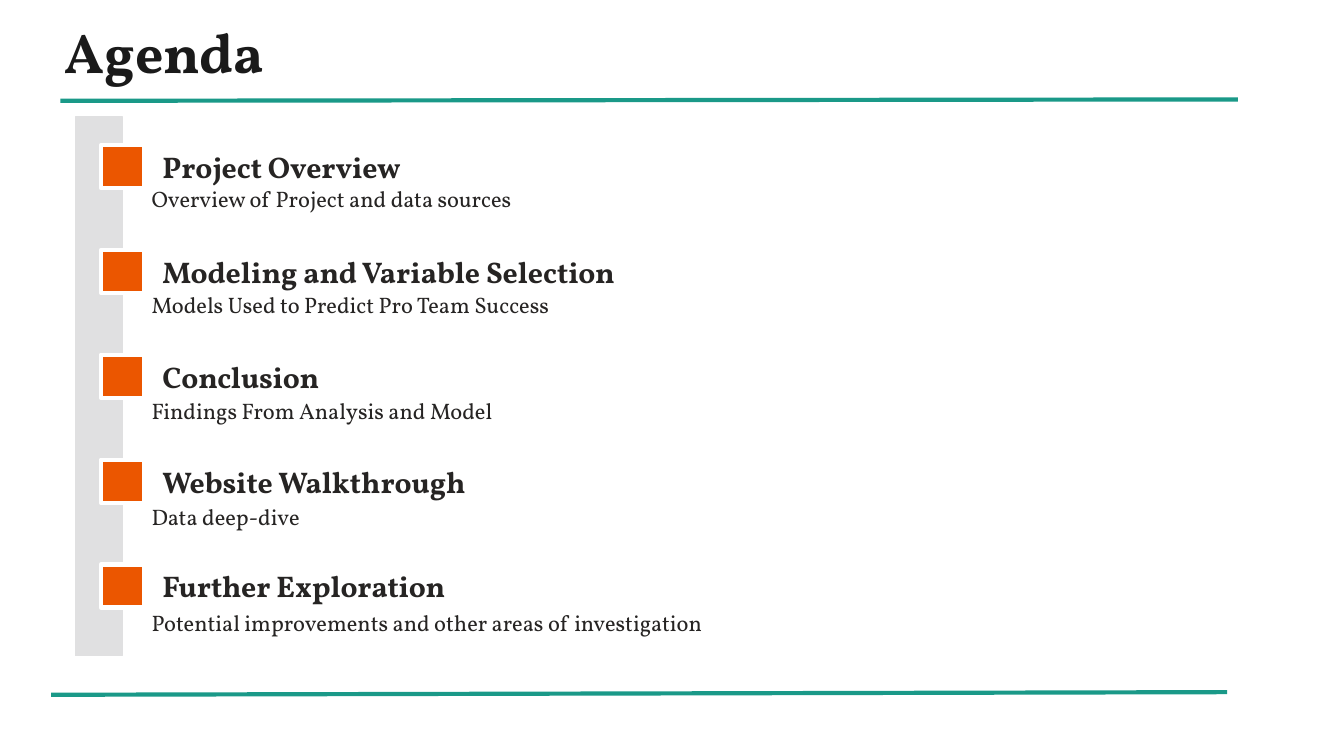
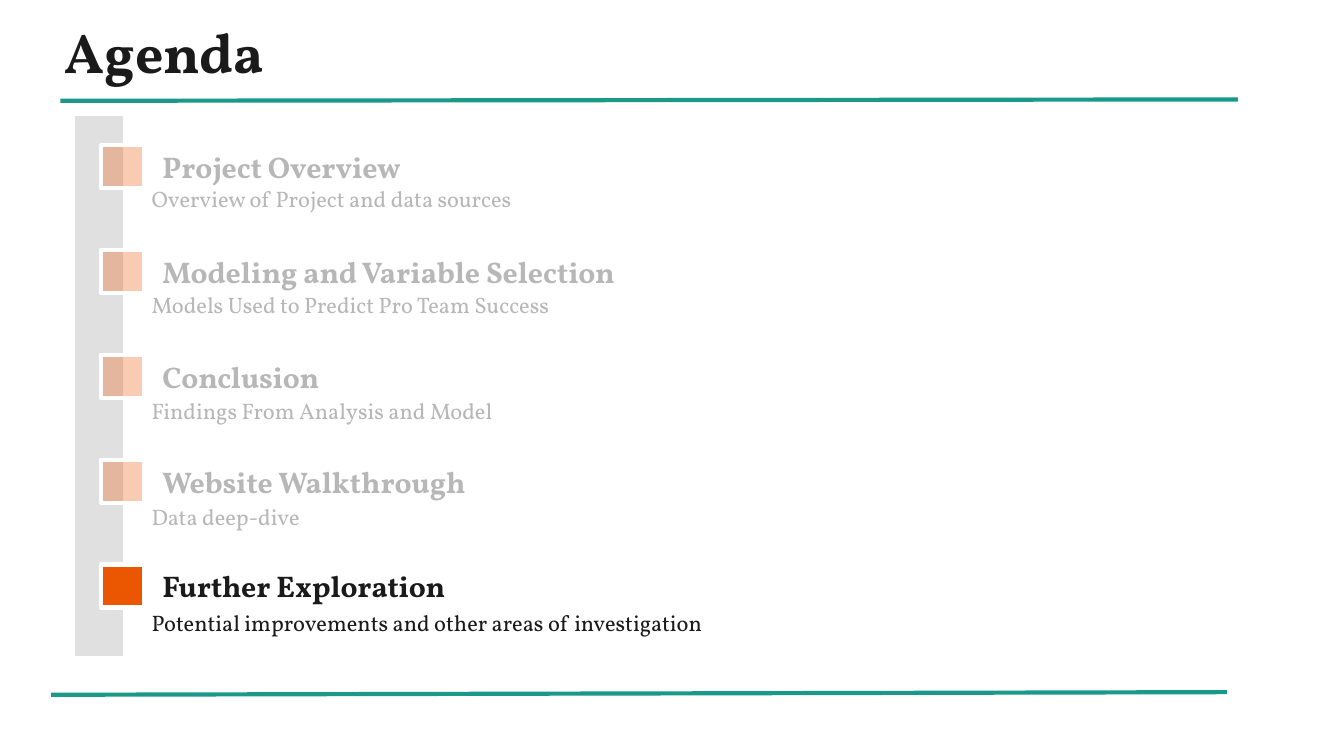
from dataclasses import dataclass

import pptx
import pptx.dml.color
import pptx.enum.shapes
import pptx.enum.text
import pptx.oxml.ns
import pptx.util
from lxml import etree

Inches = pptx.util.Inches
Pt = pptx.util.Pt
RGB = pptx.dml.color.RGBColor.from_string
RECT = pptx.enum.shapes.MSO_SHAPE.RECTANGLE


@dataclass(frozen=True)
class Theme:
    font: str = "Vollkorn"
    ink: str = "1A1A1A"
    body: str = "262423"
    muted: str = "B7B7B7"
    accent: str = "EB5600"
    rail: str = "E0E0E1"
    rule: str = "1A9988"
    white: str = "FFFFFF"
    title_size: int = 30
    heading_size: int = 16
    detail_size: int = 12
    rule_width: float = 2.25
    rail_line_width: float = 0.75
    faded_alpha: int = 30


THEME = Theme()

AGENDA = [
    ("Project Overview", "Overview of Project and data sources"),
    ("Modeling and Variable Selection", "Models Used to Predict Pro Team Success"),
    ("Conclusion", "Findings From Analysis and Model"),
    ("Website Walkthrough", "Data deep-dive"),
    ("Further Exploration", "Potential improvements and other areas of investigation"),
]


def add_rule(slide, start, end):
    line = slide.shapes.add_connector(
        pptx.enum.shapes.MSO_CONNECTOR.STRAIGHT,
        *(Inches(v) for v in (*start, *end)))
    line.line.color.rgb = RGB(THEME.rule)
    line.line.width = Pt(THEME.rule_width)
    etree.SubElement(line._element.spPr, pptx.oxml.ns.qn("a:effectLst"))


def add_rect(slide, box, fill, line, line_width, alpha=None):
    """Add a rectangle; alpha is its fill opacity in percent."""
    s = slide.shapes.add_shape(RECT, *(Inches(v) for v in box))
    s.shadow.inherit = False
    s.fill.solid()
    s.fill.fore_color.rgb = RGB(fill)
    s.line.color.rgb = RGB(line)
    s.line.width = Pt(line_width)
    if alpha is not None:
        color = s._element.spPr.find(".//" + pptx.oxml.ns.qn("a:srgbClr"))
        etree.SubElement(color, pptx.oxml.ns.qn("a:alpha"), val=str(alpha * 1000))


def write_text(sp, text, size, color, bold=False, align=None):
    tf = sp.text_frame
    tf.word_wrap = True
    tf.auto_size = pptx.enum.text.MSO_AUTO_SIZE.NONE
    tf.vertical_anchor = pptx.enum.text.MSO_ANCHOR.MIDDLE
    tf.margin_left = tf.margin_right = Inches(0.1)
    tf.margin_top = tf.margin_bottom = Inches(0.1)
    p = tf.paragraphs[0]
    p.text = text
    p.alignment = align
    p.font.name = THEME.font
    p.font.size = Pt(size)
    p.font.bold = bold
    p.font.color.rgb = RGB(color)


def add_text(slide, box, text, size, color, bold=False):
    sp = slide.shapes.add_textbox(*(Inches(v) for v in box))
    write_text(sp, text, size, color, bold)


def add_title(slide, box, text):
    title = slide.shapes.title
    title.left, title.top, title.width, title.height = (Inches(v) for v in box)
    write_text(title, text, THEME.title_size, THEME.ink, True,
               pptx.enum.text.PP_ALIGN.CENTER)


def add_agenda(slide, box, current=None):
    """Draw the rail and its items; when current is given, fade the others."""
    left, top, width, height = box
    marker = 0.32
    heading_left, detail_left = 0.55, 0.47
    heading_pitch = 3.12 / (len(AGENDA) - 1)
    detail_pitch = 3.15 / (len(AGENDA) - 1)
    add_rect(slide, (left, top, 0.35, height),
             THEME.rail, THEME.rail, THEME.rail_line_width)
    for i, (heading, detail) in enumerate(AGENDA):
        faded = current is not None and i != current
        if current is None:
            color = THEME.body
        else:
            color = THEME.muted if faded else THEME.ink
        heading_top = top + 0.21 + i * heading_pitch
        detail_top = top + 0.45 + i * detail_pitch
        add_rect(slide, (left + 0.19, heading_top, marker, marker),
                 THEME.accent, THEME.white, THEME.rule_width,
                 THEME.faded_alpha if faded else None)
        add_text(slide, (left + heading_left, heading_top, width - heading_left, marker),
                 heading, THEME.heading_size, color, True)
        add_text(slide, (left + detail_left, detail_top, width - 0.52, marker),
                 detail, THEME.detail_size, color)


def add_agenda_slide(prs, current=None):
    slide = prs.slides.add_slide(prs.slide_layouts[5])
    add_title(slide, (0.38, 0.07, 1.69, 0.62), "Agenda")
    add_agenda(slide, (0.56, 0.87, 6.48, 4.01), current)
    add_rule(slide, (0.45, 0.75), (9.21, 0.74))
    add_rule(slide, (0.38, 5.17), (9.13, 5.15))


def main():
    prs = pptx.Presentation()
    prs.slide_width = Inches(10)
    prs.slide_height = Inches(10 * 9 / 16)
    add_agenda_slide(prs)
    add_agenda_slide(prs, current=len(AGENDA) - 1)
    prs.save("out.pptx")


if __name__ == "__main__":
    main()
